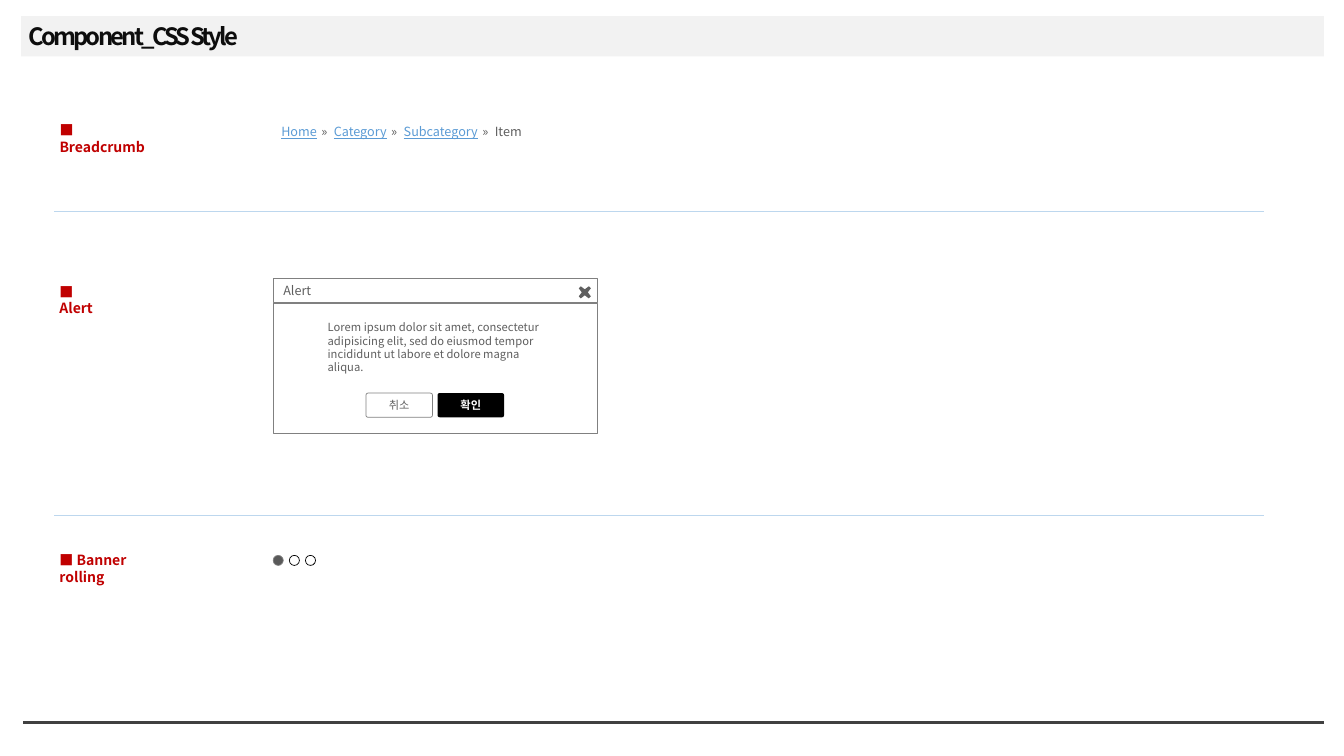
from lxml.etree import SubElement
from pptx import Presentation
from pptx.dml.color import RGBColor
from pptx.enum.shapes import MSO_CONNECTOR, MSO_SHAPE
from pptx.enum.text import MSO_ANCHOR, PP_ALIGN
from pptx.oxml.ns import qn
from pptx.util import Inches, Pt

FONT = "Noto Sans CJK KR"
WHITE = RGBColor(0xFF, 0xFF, 0xFF)
BLACK = RGBColor(0x00, 0x00, 0x00)
TITLE_INK = RGBColor(0x0D, 0x0D, 0x0D)
TITLE_BAND = RGBColor(0xF2, 0xF2, 0xF2)
FOOTER_RULE = RGBColor(0x40, 0x40, 0x40)
SECTION_RED = RGBColor(0xC0, 0x00, 0x00)
DIVIDER_BLUE = RGBColor(0xBD, 0xD7, 0xEE)
LINK_BLUE = RGBColor(0x5B, 0x9B, 0xD5)
BODY_GRAY = RGBColor(0x5F, 0x5F, 0x5F)
BORDER_GRAY = RGBColor(0x80, 0x80, 0x80)
DOT_GRAY = RGBColor(0x59, 0x59, 0x59)


def add_run(paragraph, wording, size, color, bold=False, underline=False, spacing=0):
    """Append one styled run to a paragraph."""
    run = paragraph.add_run()
    run.text = wording
    font = run.font
    font.name, font.size, font.bold, font.underline = FONT, Pt(size), bold, underline
    font.color.rgb = color
    properties = run._r.get_or_add_rPr()
    SubElement(properties, qn("a:ea"), typeface=FONT)
    if spacing:
        properties.set("spc", str(round(spacing * 100)))


def add_text(slide, box, inset=0.05, anchor=MSO_ANCHOR.TOP, align=PP_ALIGN.LEFT):
    """Add a wrapping text box and return its first paragraph."""
    frame = slide.shapes.add_textbox(*map(Inches, box)).text_frame
    frame.word_wrap = True
    frame.vertical_anchor = anchor
    frame.margin_left = frame.margin_right = Inches(inset)
    frame.margin_top = frame.margin_bottom = Inches(inset)
    paragraph = frame.paragraphs[0]
    paragraph.alignment = align
    return paragraph


def paint(shape, fill=None, border=None):
    """Set fill and hairline border, leaving out whichever is missing."""
    shape.shadow.inherit = False
    if fill is None:
        shape.fill.background()
    else:
        shape.fill.solid()
        shape.fill.fore_color.rgb = fill
    if border is None:
        shape.line.fill.background()
    else:
        shape.line.color.rgb = border
        shape.line.width = Pt(0.5)


def add_panel(slide, preset, box, fill=None, border=None):
    """Add a painted preset shape."""
    panel = slide.shapes.add_shape(preset, *map(Inches, box))
    paint(panel, fill, border)
    return panel


def add_rule(slide, left, right, y, color, width):
    """Add a horizontal rule."""
    rule = slide.shapes.add_connector(
        MSO_CONNECTOR.STRAIGHT, Inches(left), Inches(y), Inches(right), Inches(y))
    rule.line.color.rgb = color
    rule.line.width = Pt(width)
    SubElement(rule._element.spPr, qn("a:effectLst"))


def add_close_icon(slide, center_x, center_y):
    """Draw the closing cross by turning one arm through four quarters."""
    arm = [(0, -0.03), (0.04, -0.06), (0.06, -0.04)]
    outline = []
    for _ in range(4):
        outline += [(Inches(center_x + x), Inches(center_y + y)) for x, y in arm]
        arm = [(-y, x) for x, y in arm]
    builder = slide.shapes.build_freeform(*outline[0])
    builder.add_line_segments(outline[1:], close=True)
    paint(builder.convert_to_shape(), BODY_GRAY)


def add_button(slide, left, wording, fill, ink, border=None, bold=False):
    """Add a rounded dialog button with a centred label."""
    box = (left, 3.9, 0.66, 0.24)
    button = add_panel(slide, MSO_SHAPE.ROUNDED_RECTANGLE, box, fill, border)
    button.adjustments[0] = 0.09
    label = add_text(slide, box, 0, MSO_ANCHOR.MIDDLE, PP_ALIGN.CENTER)
    add_run(label, wording, 8, ink, bold)


def add_page_frame(slide):
    """Add the title band, title and footer rule."""
    add_panel(slide, MSO_SHAPE.RECTANGLE, (0.21, 0.16, 12.92, 0.4), TITLE_BAND)
    add_rule(slide, 0.23, 13.13, 7.17, FOOTER_RULE, 2.25)
    title = add_text(slide, (0.23, 0.18, 9.49, 0.38), anchor=MSO_ANCHOR.MIDDLE)
    title.line_spacing = 0.9
    add_run(title, "Component_CSS Style", 17, TITLE_INK, bold=True, spacing=-2)


def add_breadcrumb(slide):
    """Add the trail of links with spaced separators."""
    trail = add_text(slide, (2.75, 1.19, 2.6, 0.22), 0.04)
    for link in ("Home", "Category", "Subcategory"):
        add_run(trail, link, 9, LINK_BLUE, underline=True)
        add_run(trail, " » ", 9, BODY_GRAY, spacing=1.3)
    add_run(trail, "Item", 9, BODY_GRAY)


def add_alert(slide):
    """Add the alert dialog with header, message and buttons."""
    add_panel(slide, MSO_SHAPE.RECTANGLE, (2.71, 3.01, 3.22, 1.29), WHITE, BORDER_GRAY)
    message = add_text(slide, (3.21, 3.14, 2.22, 0.5), 0.04)
    add_run(message, "Lorem ipsum dolor sit amet, consectetur adipisicing elit, sed do "
            "eiusmod tempor incididunt ut labore et dolore magna aliqua.", 8, BODY_GRAY)
    add_panel(slide, MSO_SHAPE.RECTANGLE, (2.71, 2.76, 3.22, 0.24), WHITE, BORDER_GRAY)
    heading = add_text(slide, (2.76, 2.76, 2.97, 0.25), anchor=MSO_ANCHOR.MIDDLE)
    add_run(heading, "Alert", 9, BODY_GRAY)
    add_button(slide, 4.34, "확인", BLACK, WHITE, bold=True)
    add_button(slide, 3.63, "취소", WHITE, BODY_GRAY, BORDER_GRAY)
    add_close_icon(slide, 5.8, 2.9)


def add_banner_dots(slide):
    """Add the banner position dots, the first one active."""
    for index in range(3):
        fill, border = (None, BLACK) if index else (DOT_GRAY, BORDER_GRAY)
        box = (2.71 + 0.16 * index, 5.51, 0.1, 0.1)
        add_panel(slide, MSO_SHAPE.OVAL, box, fill, border)


def main():
    """Build and save the component style slide."""
    deck = Presentation()
    deck.slide_width, deck.slide_height = Inches(13.33), Inches(7.5)
    slide = deck.slides.add_slide(deck.slide_layouts[6])
    add_page_frame(slide)
    sections = [("■ Breadcrumb", 1.16, 1.05), ("■ Alert", 2.76, 0.54),
                ("■ Banner rolling", 5.42, 1.17)]
    for wording, top, width in sections:
        label = add_text(slide, (0.54, top, width, 0.27))
        add_run(label, wording, 10, SECTION_RED, bold=True)
    for y in (2.1, 5.11):
        add_rule(slide, 0.54, 12.54, y, DIVIDER_BLUE, 0.5)
    add_breadcrumb(slide)
    add_alert(slide)
    add_banner_dots(slide)
    deck.save("out.pptx")


if __name__ == "__main__":
    main()
